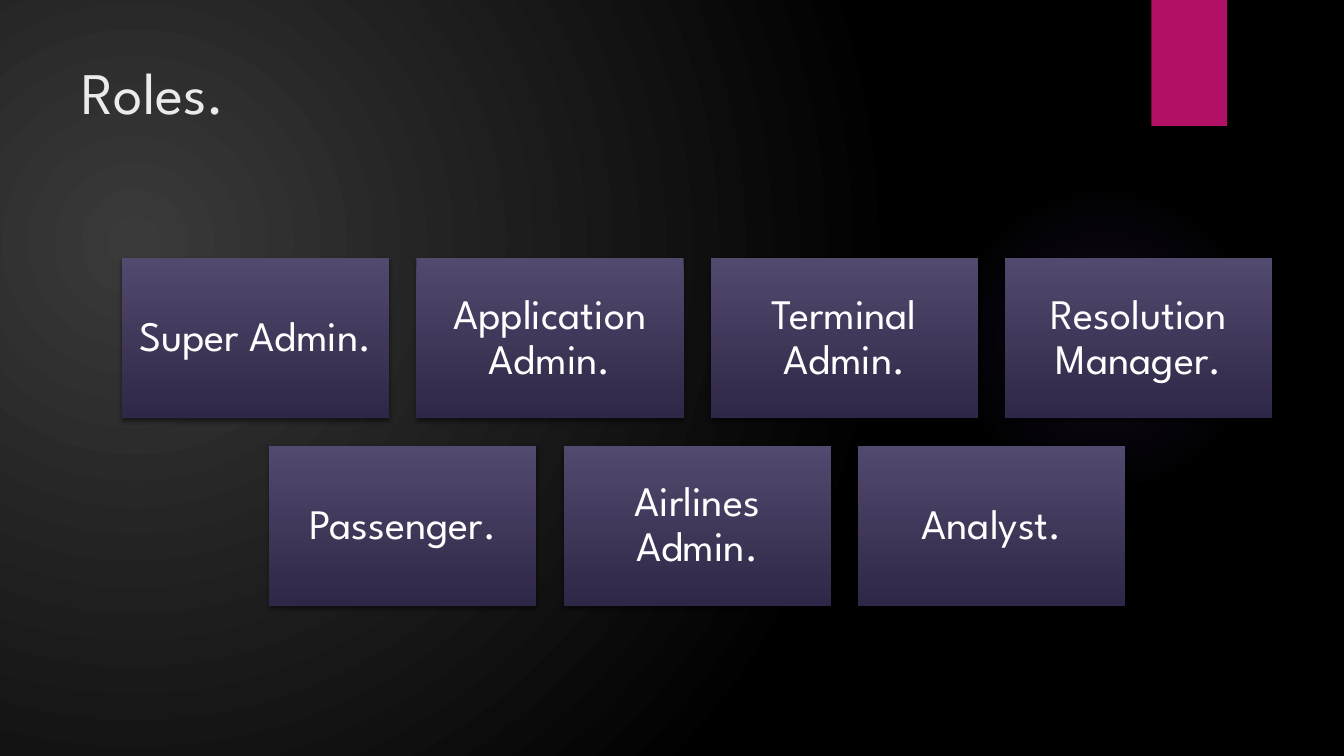
from dataclasses import dataclass

from lxml import etree
from pptx import Presentation
from pptx.dml.color import RGBColor
from pptx.enum.shapes import MSO_SHAPE
from pptx.enum.text import MSO_ANCHOR, PP_ALIGN
from pptx.oxml.ns import qn
from pptx.util import Inches, Pt

RECTANGLE, OVAL = MSO_SHAPE.RECTANGLE, MSO_SHAPE.OVAL
TOP, MIDDLE = MSO_ANCHOR.TOP, MSO_ANCHOR.MIDDLE
LEFT, CENTER = PP_ALIGN.LEFT, PP_ALIGN.CENTER


@dataclass(frozen=True)
class Theme:
    font: str = "League Spartan"
    title_size: int = 42
    tile_size: int = 30
    title_color: str = "EBEBEB"
    tile_text: str = "FFFFFF"
    ribbon: str = "B31166"
    shadow: str = "000000"
    # Gradient stops: position %, colour, opacity %
    backdrop: tuple = ((0, "3A3A3A", 100), (100, "000000", 100))
    glow: tuple = ((0, "9B6BF2", 7), (36, "9B6BF2", 6), (69, "9B6BF2", 0))
    tile: tuple = ((0, "52496E", 100), (100, "2F2747", 100))


THEME = Theme()

# Slide and tile grid, in inches
SLIDE_WIDTH, SLIDE_HEIGHT = 13.33, 7.5
TILE_WIDTH, TILE_HEIGHT, GAP = 2.65, 1.59, 0.27
GRID_CENTER, GRID_TOP = 6.915, 2.56

ROLES = (
    ("Super Admin.", "Application Admin.", "Terminal Admin.", "Resolution Manager."),
    ("Passenger.", "Airlines Admin.", "Analyst."),
)


def add_node(parent, tag, **attributes):
    node = etree.SubElement(parent, qn(tag))
    for name, value in attributes.items():
        node.set(name, str(value))
    return node


def add_color(parent, color, opacity):
    node = add_node(parent, "a:srgbClr", val=color)
    if opacity < 100:
        add_node(node, "a:alpha", val=opacity * 1000)


def set_gradient(fill, holder, stops, focus=None):
    """Radial around the focus (left, top, right, bottom %), else top to bottom."""
    fill.solid()
    solid = holder.find(qn("a:solidFill"))
    gradient = etree.Element(qn("a:gradFill"), rotWithShape="1")
    stop_list = add_node(gradient, "a:gsLst")
    for position, color, opacity in stops:
        add_color(add_node(stop_list, "a:gs", pos=position * 1000), color, opacity)
    if focus:
        circle = add_node(gradient, "a:path", path="circle")
        sides = {side: share * 1000 for side, share in zip("ltrb", focus)}
        add_node(circle, "a:fillToRect", **sides)
    else:
        add_node(gradient, "a:lin", ang=90 * 60000, scaled=0)
    holder.replace(solid, gradient)


def add_shadow(shape):
    effects = shape._element.spPr.find(qn("a:effectLst"))
    shadow = add_node(effects, "a:outerShdw", blurRad=Pt(3), dist=Pt(2),
                      dir=90 * 60000, algn="ctr", rotWithShape=0)
    add_color(shadow, THEME.shadow, 45)


def add_panel(page, kind, *bounds):
    shape = page.shapes.add_shape(kind, *map(Inches, bounds))
    shape.shadow.inherit = False
    shape.line.fill.background()
    return shape


def write_text(box, text, size, color, align=LEFT, anchor=TOP, spacing=1.0, inset=None):
    frame = box.text_frame
    frame.word_wrap = True
    frame.vertical_anchor = anchor
    if inset is not None:
        frame.margin_left = frame.margin_right = Inches(inset)
        frame.margin_top = frame.margin_bottom = Inches(inset)
    para = frame.paragraphs[0]
    para.alignment = align
    para.line_spacing = spacing
    span = para.add_run()
    span.text = text
    span.font.name = THEME.font
    span.font.size = Pt(size)
    span.font.color.rgb = RGBColor.from_string(color)


def add_backdrop(page):
    fill = page.background.fill
    fill.solid()
    holder = next(page._element.iter(qn("p:bgPr")))
    set_gradient(fill, holder, THEME.backdrop, focus=(45, 65, 125, 100))
    glow = add_panel(page, OVAL, 9.41, 1.83, 3.08, 3.08)
    set_gradient(glow.fill, glow._element.spPr, THEME.glow, focus=(50, 50, 50, 50))


def add_ribbon(page):
    ribbon = add_panel(page, RECTANGLE, 11.42, 0, 0.75, 1.25)
    ribbon.fill.solid()
    ribbon.fill.fore_color.rgb = RGBColor.from_string(THEME.ribbon)
    add_shadow(ribbon)


def add_title(page, text):
    box = page.shapes.add_textbox(*map(Inches, (0.71, 0.5, 10.29, 1.53)))
    write_text(box, text, THEME.title_size, THEME.title_color)


def add_tile(page, text, left, top):
    tile = add_panel(page, RECTANGLE, left, top, TILE_WIDTH, TILE_HEIGHT)
    set_gradient(tile.fill, tile._element.spPr, THEME.tile)
    add_shadow(tile)
    write_text(tile, text, THEME.tile_size, THEME.tile_text, align=CENTER,
               anchor=MIDDLE, spacing=0.9, inset=0.12)


def add_role_grid(page, rows):
    """Each row is centred on the same vertical axis."""
    for row, names in enumerate(rows):
        row_width = len(names) * (TILE_WIDTH + GAP) - GAP
        row_left = GRID_CENTER - row_width / 2
        top = GRID_TOP + row * (TILE_HEIGHT + GAP)
        for column, name in enumerate(names):
            add_tile(page, name, row_left + column * (TILE_WIDTH + GAP), top)


def main():
    deck = Presentation()
    deck.slide_width, deck.slide_height = Inches(SLIDE_WIDTH), Inches(SLIDE_HEIGHT)
    page = deck.slides.add_slide(deck.slide_layouts[6])
    add_backdrop(page)
    add_title(page, "Roles.")
    add_ribbon(page)
    add_role_grid(page, ROLES)
    deck.save("out.pptx")


if __name__ == "__main__":
    main()
